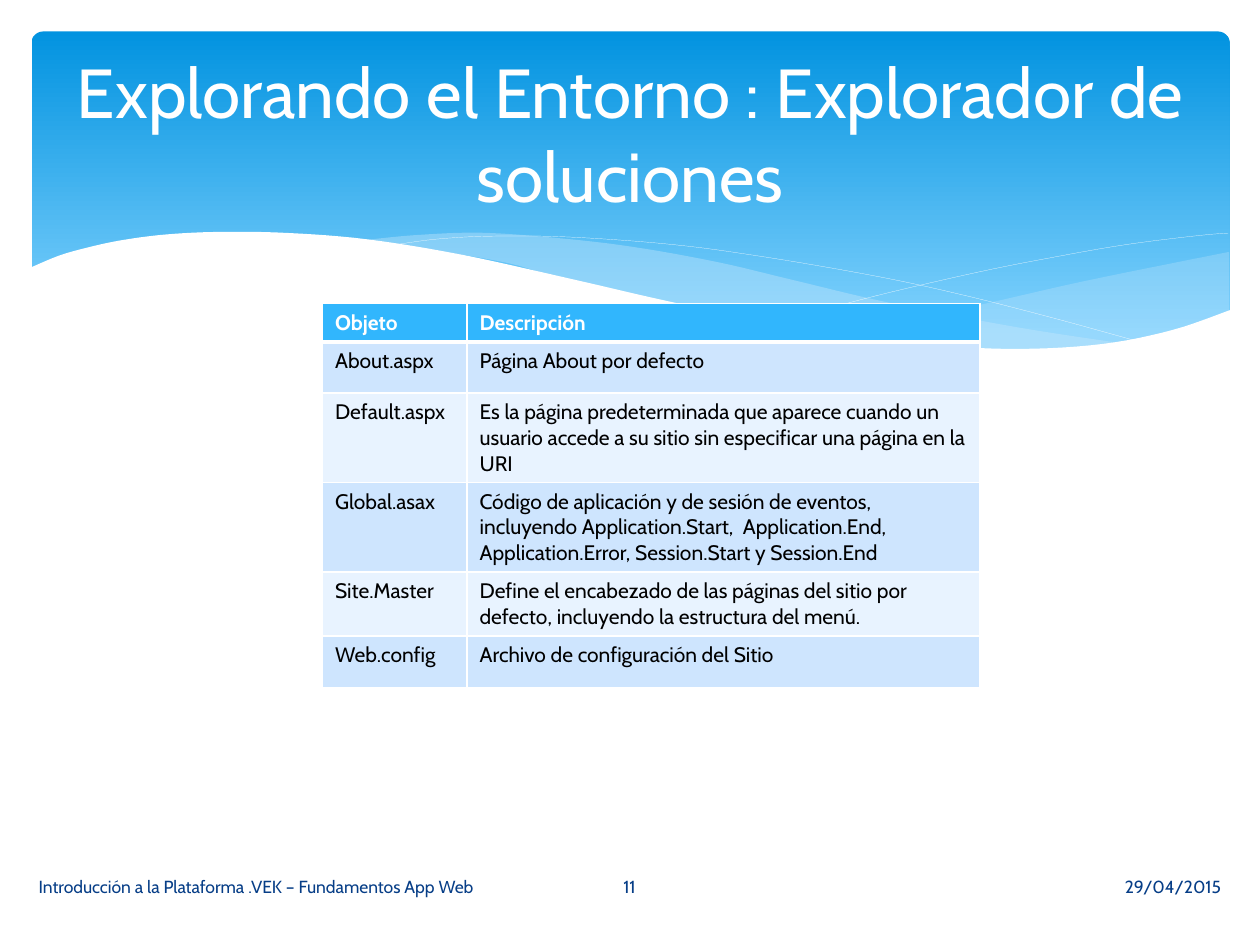
from dataclasses import dataclass

from lxml.etree import SubElement as Sub
from pptx import Presentation
from pptx.dml.color import RGBColor as Rgb
from pptx.enum.shapes import MSO_SHAPE as Preset
from pptx.enum.text import MSO_ANCHOR as Anchor, MSO_AUTO_SIZE as Fit, PP_ALIGN as Align
from pptx.oxml.ns import qn
from pptx.util import Pt

FONT = "Cabin"
WHITE = "FFFFFF"
NAVY = "073E87"
HEAD = "31B6FD"
BANDS = ("CEE5FE", "E8F3FF")
STEPS = 6

Point = tuple[float, float]


@dataclass
class Wave:
    curves: list[list[Point]]
    fill: str = ""
    alpha: int = 100


@dataclass
class Label:
    text: str
    left: float
    width: float
    align: Align


WAVES = [
    Wave([
        [(702, 144), (620, 160.6), (561, 174), (508, 185), (476, 191)],
        [(476, 191), (528, 197), (578, 200), (615, 199.5), (657, 194),
         (683, 186.5), (702.5, 178)],
        [(702.5, 144)],
    ], "C6E7FC", 29),
    Wave([
        [(643, 196.5), (581, 187), (508, 173), (453, 160), (410, 149.8),
         (361, 141), (318, 136), (274, 133), (236, 134.5), (206, 137.5)],
        [(206, 137.5), (247, 143), (291, 150.5), (323, 160), (382, 173),
         (433, 183.6), (479, 191.5), (520, 196.8), (556, 199.5),
         (589, 200), (624, 198.7), (643, 196.5)],
    ], "C6E7FC", 40),
    Wave([
        [(222.5, 140.4), (248, 136.8), (279, 135), (324, 135.4),
         (384, 139.7), (438, 147), (500, 157.7), (547, 167.8),
         (598, 180.7), (653, 195.8)],
    ]),
    Wave([
        [(441.5, 185), (500, 169.2), (559, 155.5), (602, 147),
         (644, 139.7), (685, 134.6), (702, 133.2)],
    ]),
    Wave([
        [(703.5, 177), (670, 188.6), (630, 196.6), (583, 199.4),
         (536, 197.3), (481, 190.8), (434, 183), (381, 172),
         (322, 158.4), (263, 145.4), (210, 136.8), (165.6, 133.2),
         (127.4, 132.5), (95, 134), (68.4, 137.5), (48, 142),
         (33, 146.4), (16.5, 153.4)],
        [(16.5, 237), (703.5, 237)],
    ], WHITE),
]

LABELS = [
    Label("29/04/2015", 406.8, 298, Align.RIGHT),
    Label("11", 314, 91.4, Align.CENTER),
    Label("Introducción a la Plataforma .VEK – Fundamentos App Web", 15, 298, Align.LEFT),
]

ROWS = [
    ("Objeto", "Descripción"),
    ("About.aspx", "Página About por defecto"),
    ("Default.aspx", "Es la página predeterminada que aparece cuando un usuario "
     "accede a su sitio sin especificar una página en la URI"),
    ("Global.asax", "Código de aplicación y de sesión de eventos, incluyendo "
     "Application.Start,  Application.End, Application.Error, "
     "Session.Start y Session.End"),
    ("Site.Master", "Define el encabezado de las páginas del sitio por defecto, "
     "incluyendo la estructura del menú."),
    ("Web.config", "Archivo de configuración del Sitio"),
]


def paint(color, code: str) -> None:
    color.rgb = Rgb.from_string(code)


def flood(fill, code: str) -> None:
    fill.solid()
    paint(fill.fore_color, code)


def write(frame, text: str, size: float, code: str, align: Align = Align.LEFT,
          bold: bool = False) -> None:
    par = frame.paragraphs[0]
    par.alignment = align
    run = par.add_run()
    run.text = text
    run.font.name = FONT
    run.font.size = Pt(size)
    run.font.bold = bold
    paint(run.font.color, code)


def smooth(knots: list[Point]) -> list[Point]:
    if len(knots) < 3:
        return knots
    ends = [knots[0], *knots, knots[-1]]
    dots = [knots[0]]
    for a, b, c, d in zip(ends, ends[1:], ends[2:], ends[3:]):
        for step in range(1, STEPS + 1):
            t = step / STEPS
            dots.append(tuple(
                q + t * ((r - p) + t * ((2 * p - 5 * q + 4 * r - s)
                                        + t * (3 * q - p - 3 * r + s))) / 2
                for p, q, r, s in zip(a, b, c, d)))
    return dots


def draw_wave(shapes, wave: Wave) -> None:
    dots = [(Pt(x), Pt(y)) for curve in wave.curves for x, y in smooth(curve)]
    pen = shapes.build_freeform(*dots[0])
    pen.add_line_segments(dots[1:], close=bool(wave.fill))
    shape = pen.convert_to_shape()
    shape.shadow.inherit = False
    if not wave.fill:
        shape.fill.background()
        flood(shape.line.fill, WHITE)
        shape.line.width = Pt(0.1)
        return
    shape.line.fill.background()
    flood(shape.fill, wave.fill)
    if wave.alpha < 100:
        tint = shape.element.spPr.find(qn("a:solidFill"))[0]
        Sub(tint, qn("a:alpha"), val=str(wave.alpha * 1000))


def draw_sky(shapes) -> None:
    sky = shapes.add_shape(Preset.ROUNDED_RECTANGLE, Pt(18), Pt(18), Pt(684.7), Pt(194.4))
    sky.adjustments[0] = 0.034
    sky.shadow.inherit = False
    sky.line.fill.background()
    sky.fill.gradient()
    sky.fill.gradient_angle = 270
    for stop, place, code in zip(sky.fill.gradient_stops, (0, 0.9), ("0293E0", "83D3FE")):
        stop.position = place
        paint(stop.color, code)


def draw_label(shapes, label: Label) -> None:
    box = shapes.add_textbox(Pt(label.left), Pt(492.2), Pt(label.width), Pt(28.8))
    frame = box.text_frame
    frame.word_wrap = True
    frame.vertical_anchor = Anchor.MIDDLE
    write(frame, label.text, 10, NAVY, label.align)


def edge(cell, side: str, width: float) -> None:
    line = Sub(cell._tc.get_or_add_tcPr(), qn(f"a:ln{side}"), w=str(Pt(width)))
    Sub(Sub(line, qn("a:solidFill")), qn("a:srgbClr"), val=WHITE)


def draw_table(shapes) -> None:
    table = shapes.add_table(len(ROWS), 2, Pt(184.3), Pt(173.5), Pt(375.8), Pt(216.7)).table
    for col, width in zip(table.columns, (82.6, 293.2)):
        col.width = Pt(width)
    for i, texts in enumerate(ROWS):
        top = i == 0
        table.rows[i].height = Pt(10.8 if top else 29.2)
        for j, text in enumerate(texts):
            cell = table.cell(i, j)
            for side in "LRTB":
                thick = (top and side == "B") or (i == 1 and side == "T")
                edge(cell, side, 3 if thick else 1)
            flood(cell.fill, HEAD if top else BANDS[(i - 1) % 2])
            write(cell.text_frame, text, 12, WHITE if top else "000000", bold=top)


def set_title(title) -> None:
    title.left, title.top, title.width, title.height = Pt(36), Pt(26.6), Pt(648), Pt(98.6)
    frame = title.text_frame
    frame.auto_size = Fit.NONE
    frame.vertical_anchor = Anchor.MIDDLE
    write(frame, "Explorando el Entorno : Explorador de soluciones", 39.6, WHITE, Align.CENTER)
    title.element.getparent().append(title.element)


def main() -> None:
    deck = Presentation()
    deck.slide_width, deck.slide_height = Pt(720), Pt(540)
    slide = deck.slides.add_slide(deck.slide_layouts[5])
    shapes = slide.shapes
    flood(slide.background.fill, WHITE)
    draw_sky(shapes)
    for wave in WAVES:
        draw_wave(shapes, wave)
    set_title(shapes.title)
    draw_table(shapes)
    for label in LABELS:
        draw_label(shapes, label)
    deck.save("out.pptx")


if __name__ == "__main__":
    main()
